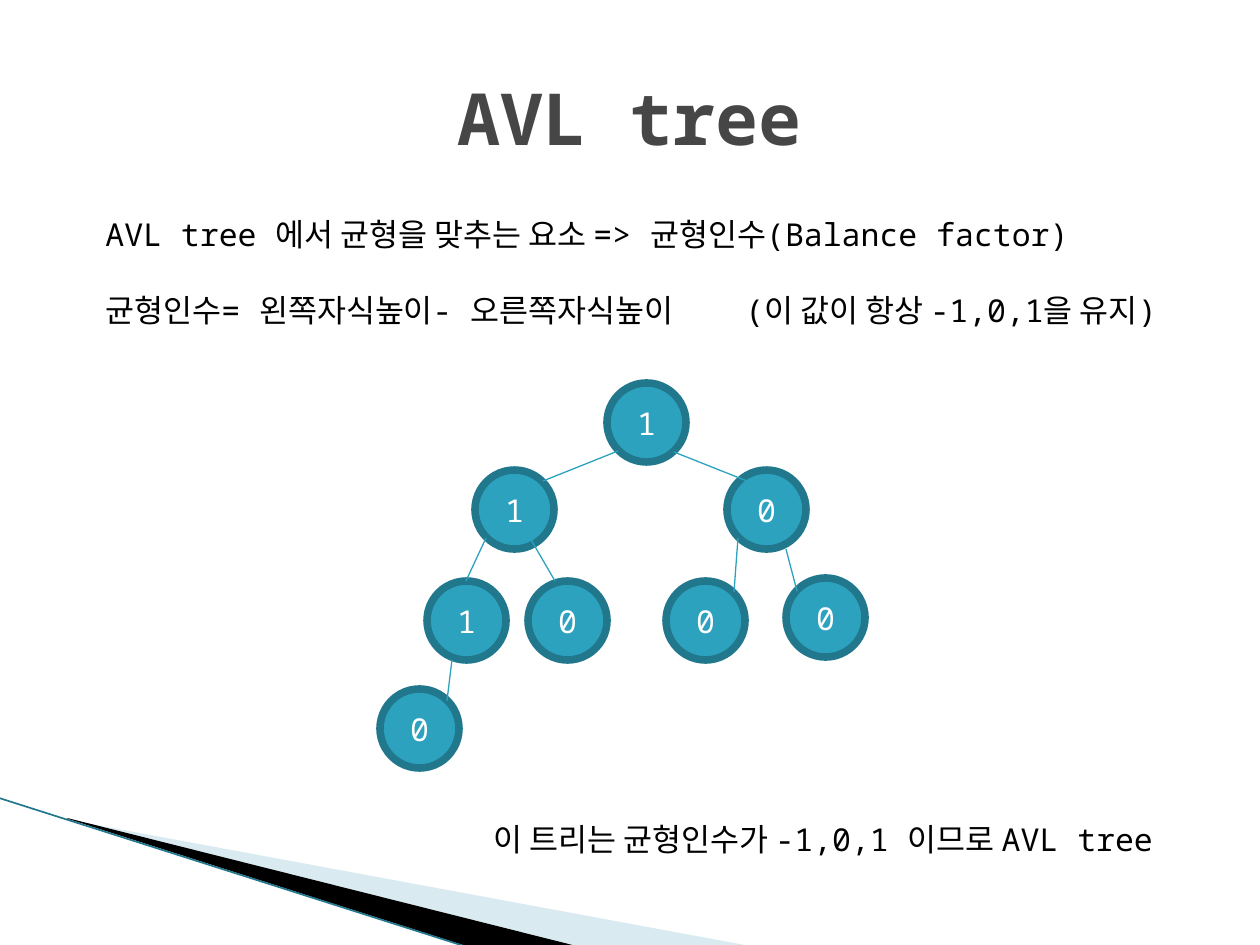
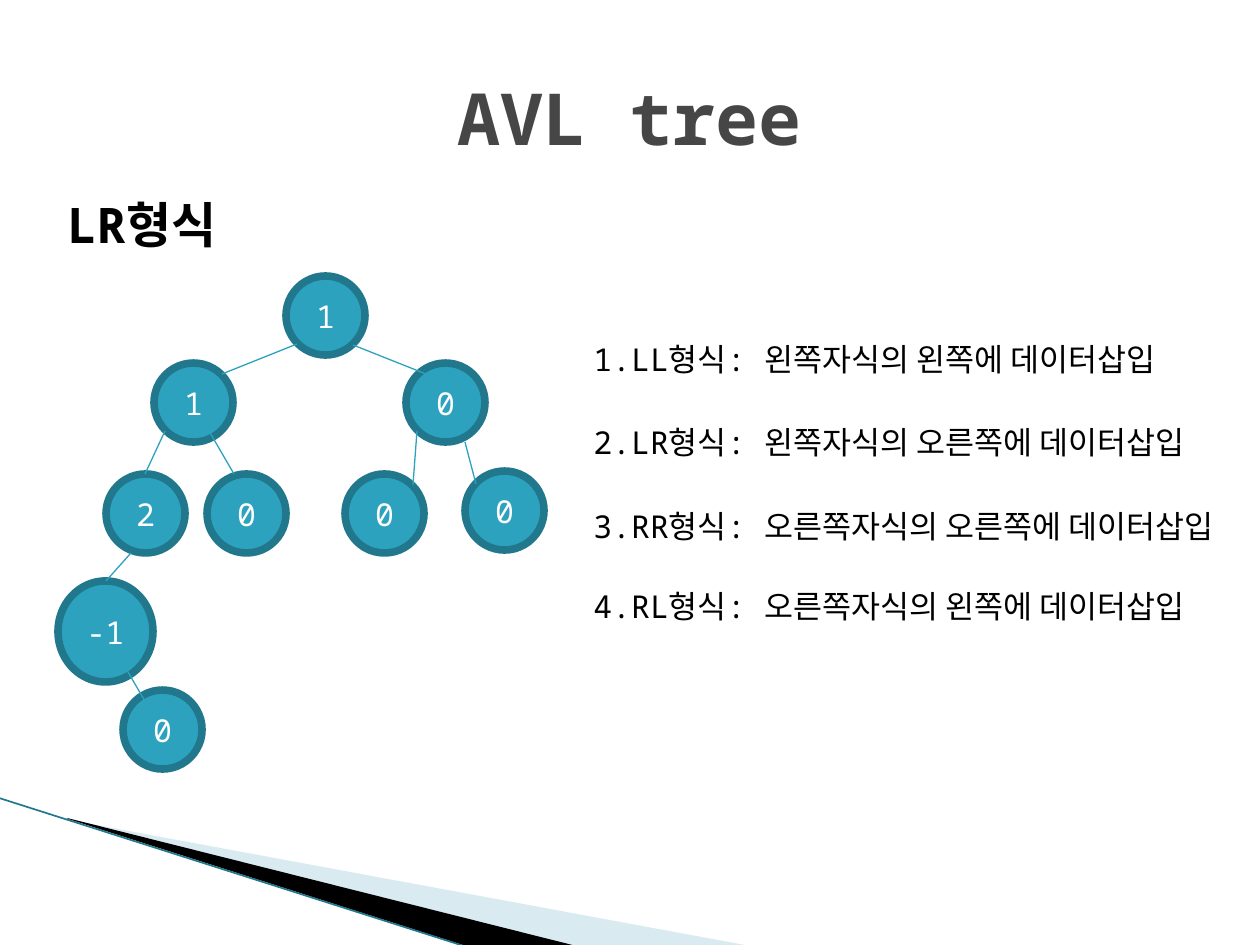
from lxml import etree
from pptx import Presentation
from pptx.dml.color import RGBColor
from pptx.enum.shapes import MSO_CONNECTOR as CONN, MSO_SHAPE as SHAPE
from pptx.enum.text import MSO_ANCHOR as ANCHOR, MSO_AUTO_SIZE as AUTO, PP_ALIGN as ALIGN
from pptx.oxml.ns import qn
from pptx.util import Inches, Pt

SCALE = Inches(1) / 126  # EMU in one pixel
FONT = "Noto Sans Mono"
BLACK = RGBColor(0, 0, 0)
WHITE = RGBColor(0xFF, 0xFF, 0xFF)
GREY = RGBColor(0x46, 0x46, 0x46)
TEAL = RGBColor(0x2D, 0xA2, 0xBF)
DARK_TEAL = RGBColor(0x21, 0x78, 0x8D)
PALE_BLUE = RGBColor(0xA0, 0xCB, 0xDC)

# Seven-node tree, in pixels from the top left of the root
NODE = 79
TREE_NODES = [(0, 0), (-132, 87), (-180, 198), (120, 87), (-79, 198), (59, 198), (179, 195)]
TREE_EDGES = [
    (11, 68, -64, 98), (140, 98, 67, 69), (-121, 155, -141, 198),
    (-77, 155, -52, 198), (131, 155, 127, 209), (190, 208, 179, 166),
]


def px(*lengths):
    return [round(n * SCALE) for n in lengths]


def write(p, text, size=18, color=BLACK, bold=False, align=ALIGN.LEFT, before=0):
    p.alignment = align
    p.space_before = Pt(before)
    r = p.add_run()
    r.text = text
    r.font.name = FONT
    r.font.size = Pt(size)
    r.font.bold = bold
    r.font.color.rgb = color


def add_tab_stop(p, pos):
    tabs = etree.SubElement(p._p.get_or_add_pPr(), qn("a:tabLst"))
    etree.SubElement(tabs, qn("a:tab"), pos=str(px(pos)[0]), algn="l")


class Deck:
    def __init__(self):
        self.prs = Presentation()
        self.prs.slide_width, self.prs.slide_height = Inches(10), Inches(7.5)
        self.s = None

    def new_slide(self, title):
        self.s = self.prs.slides.add_slide(self.prs.slide_layouts[5])
        self.corner()
        sp = self.s.shapes.title
        sp.left, sp.top, sp.width, sp.height = px(63, 38, 1134, 157)
        sp.text_frame.vertical_anchor = ANCHOR.MIDDLE
        write(sp.text_frame.paragraphs[0], title, size=41, color=GREY, bold=True, align=ALIGN.CENTER)

    def corner(self):
        """Slanted bands at the bottom left."""
        self.polygon([(69, 820), (750, 946), (575, 946), (69, 819)], PALE_BLUE, alpha=40)
        self.polygon([(67, 818), (576, 946), (469, 947), (68, 819)], BLACK)
        self.line(-1, 798, 467, 947, color=DARK_TEAL, width=0.95)

    def polygon(self, points, color, alpha=None):
        fb = self.s.shapes.build_freeform(*points[0], scale=SCALE)
        fb.add_line_segments(points[1:], close=True)
        sp = fb.convert_to_shape()
        sp.shadow.inherit = False
        sp.fill.solid()
        sp.fill.fore_color.rgb = color
        sp.line.fill.background()
        if alpha is not None:
            clr = sp._element.spPr.find(qn("a:solidFill"))[0]
            etree.SubElement(clr, qn("a:alpha"), val=str(alpha * 1000))

    def line(self, x1, y1, x2, y2, color=TEAL, width=0.75):
        c = self.s.shapes.add_connector(CONN.STRAIGHT, *px(x1, y1, x2, y2))
        c.line.color.rgb = color
        c.line.width = Pt(width)
        etree.SubElement(c._element.spPr, qn("a:effectLst"))

    def node(self, x, y, label, w=NODE, h=NODE):
        sp = self.s.shapes.add_shape(SHAPE.OVAL, *px(x, y, w, h))
        sp.shadow.inherit = False
        sp.fill.solid()
        sp.fill.fore_color.rgb = TEAL
        sp.line.color.rgb = DARK_TEAL
        sp.line.width = Pt(4.33)
        tf = sp.text_frame
        tf.vertical_anchor = ANCHOR.MIDDLE
        write(tf.paragraphs[0], label, color=WHITE, align=ALIGN.CENTER)

    def tree(self, x, y, labels):
        for (dx, dy), label in zip(TREE_NODES, labels):
            self.node(x + dx, y + dy, label)
        for x1, y1, x2, y2 in TREE_EDGES:
            self.line(x + x1, y + y1, x + x2, y + y2)

    def text(self, x, y, w, h, text, **fmt):
        tf = self.s.shapes.add_textbox(*px(x, y, w, h)).text_frame
        tf.word_wrap = True
        tf.auto_size = AUTO.SHAPE_TO_FIT_TEXT
        write(tf.paragraphs[0], text, **fmt)
        return tf


deck = Deck()

# Slide 1: balance factor
deck.new_slide("AVL tree")
tf = deck.text(93, 209, 1108, 127, "AVL tree 에서 균형을 맞추는 요소 => 균형인수(Balance factor)")
p = tf.add_paragraph()
write(p, "균형인수= 왼쪽자식높이- 오른쪽자식높이\t(이 값이 항상 -1,0,1을 유지)", before=21.5)
add_tab_stop(p, 640)
deck.text(481, 814, 687, 50, "이 트리는 균형인수가 -1,0,1 이므로 AVL tree")
deck.tree(607, 383, "1110000")
deck.node(380, 689, "0")
deck.line(452, 660, 447, 701)

# Slide 2: LR case and the four insertion cases
deck.new_slide("AVL tree")
cases = [
    (334, 607, "1.LL형식: 왼쪽자식의 왼쪽에 데이터삽입"),
    (417, 643, "2.LR형식: 왼쪽자식의 오른쪽에 데이터삽입"),
    (501, 678, "3.RR형식: 오른쪽자식의 오른쪽에 데이터삽입"),
    (581, 643, "4.RL형식: 오른쪽자식의 왼쪽에 데이터삽입"),
]
for top, width, case in cases:
    deck.text(581, top, width, 50, case)
deck.tree(286, 276, "1120000")
deck.node(58, 581, "-1", w=95, h=101)
deck.line(131, 553, 106, 581)
deck.node(123, 690, "0")
deck.line(121, 660, 146, 703)
deck.text(55, 188, 183, 72, "LR형식", size=28, bold=True)

deck.prs.save("out.pptx")
